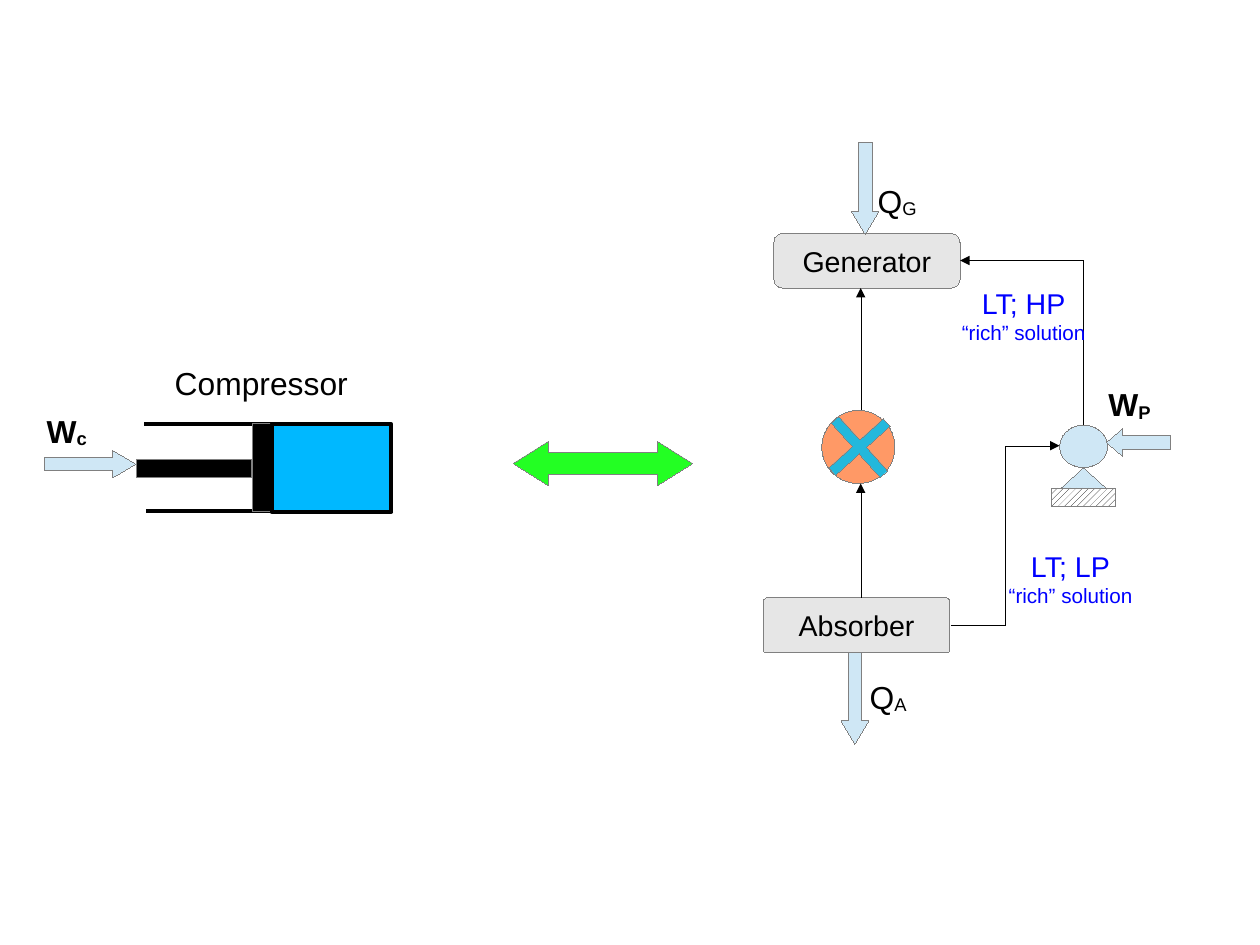
import dataclasses

import lxml.etree
import pptx
import pptx.dml.color
import pptx.enum.dml
import pptx.enum.shapes
import pptx.enum.text
import pptx.oxml.ns
import pptx.util

PX = 9144  # EMU per px, 100 px to the inch
PRESET = pptx.enum.shapes.MSO_SHAPE
CONNECTOR = pptx.enum.shapes.MSO_CONNECTOR
ALIGN = pptx.enum.text.PP_ALIGN


@dataclasses.dataclass(frozen=True)
class Theme:
    font: str = "Arial"
    black: str = "000000"
    white: str = "FFFFFF"
    outline: str = "808080"
    energy: str = "CFE7F5"
    vessel: str = "E6E6E6"
    valve: str = "FF9966"
    valve_cross: str = "23B8DC"
    gas: str = "00B8FF"
    equivalence: str = "23FF23"
    solution: str = "0000FF"
    symbol_size: int = 20
    label_size: int = 18
    note_size: int = 13
    subscript: int = -8000
    hairline: float = 0.01
    wall: float = 2.83


def rgb(color):
    return pptx.dml.color.RGBColor.from_string(color)


class Diagram:
    def __init__(self, slide, theme):
        self.slide = slide
        self.theme = theme

    def set_line(self, item, color, width):
        item.line.color.rgb = rgb(color)
        item.line.width = pptx.util.Pt(width)

    def set_font(self, paragraph, size, color, bold=False):
        font = paragraph.font
        font.name = self.theme.font
        font.size = pptx.util.Pt(size)
        font.bold = bold
        font.color.rgb = rgb(color)

    def shape(self, preset, box, fill, adjustments=(), rotation=0, line=None, width=None):
        shape = self.slide.shapes.add_shape(preset, *(value * PX for value in box))
        shape.shadow.inherit = False
        shape.rotation = rotation
        for index, value in enumerate(adjustments):
            shape.adjustments[index] = value
        shape.fill.solid()
        shape.fill.fore_color.rgb = rgb(fill)
        self.set_line(shape, line or self.theme.outline, width or self.theme.hairline)
        return shape

    def vessel(self, name, box, corner):
        shape = self.shape(PRESET.ROUNDED_RECTANGLE, box, self.theme.vessel, [corner])
        frame = shape.text_frame
        frame.word_wrap = False
        frame.vertical_anchor = pptx.enum.text.MSO_ANCHOR.MIDDLE
        paragraph = frame.paragraphs[0]
        paragraph.text = name
        paragraph.alignment = ALIGN.CENTER
        self.set_font(paragraph, self.theme.label_size, self.theme.black)

    def hatched_base(self, box):
        shape = self.shape(PRESET.RECTANGLE, box, self.theme.white)
        shape.fill.patterned()
        shape.fill.pattern = pptx.enum.dml.MSO_PATTERN.WIDE_UPWARD_DIAGONAL
        shape.fill.fore_color.rgb = rgb(self.theme.black)
        shape.fill.back_color.rgb = rgb(self.theme.white)

    def text_frame(self, box, wrap=True):
        frame = self.slide.shapes.add_textbox(*(value * PX for value in box)).text_frame
        frame.word_wrap = wrap
        frame.auto_size = pptx.enum.text.MSO_AUTO_SIZE.SHAPE_TO_FIT_TEXT
        return frame

    def symbol(self, box, text, subscript="", bold=False):
        paragraph = self.text_frame(box).paragraphs[0]
        paragraph.add_run().text = text
        if subscript:
            run = paragraph.add_run()
            run.text = subscript
            run.font._element.set("baseline", str(self.theme.subscript))
        self.set_font(paragraph, self.theme.symbol_size, self.theme.black, bold)

    def stream_label(self, box, state, note):
        frame = self.text_frame(box, wrap=False)
        frame.text = f"{state}\n{note}"
        sizes = (self.theme.label_size, self.theme.note_size)
        for paragraph, size in zip(frame.paragraphs, sizes):
            paragraph.alignment = ALIGN.CENTER
            self.set_font(paragraph, size, self.theme.solution)

    def connector(self, start, end, kind=CONNECTOR.STRAIGHT, width=None, arrow=True):
        points = (value * PX for value in (*start, *end))
        connector = self.slide.shapes.add_connector(kind, *points)
        self.set_line(connector, self.theme.black, width or self.theme.hairline)
        qn = pptx.oxml.ns.qn
        if arrow:
            line = connector.line._get_or_add_ln()
            lxml.etree.SubElement(line, qn("a:tailEnd"), type="triangle")
        lxml.etree.SubElement(connector._element.spPr, qn("a:effectLst"))
        return connector

    def up_then_left(self, start, end):
        """Draw a one-bend arrow: a two-segment elbow turned by 270 degrees about its centre."""
        center_x, center_y = (start[0] + end[0]) // 2, (start[1] + end[1]) // 2
        half_x, half_y = (start[0] - end[0]) // 2, (start[1] - end[1]) // 2
        connector = self.connector((center_x - half_y, center_y + half_x),
                                   (center_x + half_y, center_y - half_x), CONNECTOR.ELBOW)
        properties = connector._element.spPr
        properties.find(pptx.oxml.ns.qn("a:xfrm")).set("rot", str(270 * 60000))
        properties.find(pptx.oxml.ns.qn("a:prstGeom")).set("prst", "bentConnector2")


def draw_absorption_side(diagram):
    theme = diagram.theme
    diagram.shape(PRESET.LEFT_ARROW, (968, 375, 56, 24), theme.energy, [0.5, 0.585])
    diagram.symbol((960, 332, 64, 51), "W", "P", bold=True)
    diagram.vessel("Generator", (677, 204, 163, 48), 0.167)
    diagram.vessel("Absorber", (668, 523, 163, 48), 0.06)

    diagram.shape(PRESET.OVAL, (719, 359, 64, 64), theme.valve)
    diagram.shape(PRESET.CROSS, (720, 359, 64, 64), theme.valve_cross, [0.432], rotation=48)
    for bottom, top in ((523, 423), (359, 252)):
        diagram.connector((753, bottom), (753, top))

    diagram.shape(PRESET.OVAL, (927, 372, 42, 37), theme.energy)
    diagram.shape(PRESET.ISOSCELES_TRIANGLE, (927, 409, 42, 19), theme.energy)
    diagram.connector((832, 547), (927, 390), CONNECTOR.ELBOW)
    diagram.up_then_left((948, 372), (840, 228))
    diagram.hatched_base((920, 427, 56, 16))

    diagram.stream_label((872, 475, 129, 59), "LT; LP", "“rich” solution")
    diagram.stream_label((831, 245, 129, 59), "LT; HP", "“rich” solution")
    diagram.symbol((751, 588, 66, 51), "Q", "A")
    diagram.symbol((758, 154, 67, 51), "Q", "G")
    for left, top in ((745, 125), (736, 571)):
        diagram.shape(PRESET.DOWN_ARROW, (left, top, 24, 80), theme.energy, [0.5, 0.838])


def draw_compressor_side(diagram):
    theme = diagram.theme
    for start, end in (((342, 371), (126, 371)), ((344, 447), (128, 447)),
                       ((342, 371), (342, 447))):
        diagram.connector(start, end, width=theme.wall, arrow=False)
    for piston_part in ((119, 402, 101, 16), (221, 371, 17, 77)):
        diagram.shape(PRESET.RECTANGLE, piston_part, theme.black)
    diagram.shape(PRESET.RECTANGLE, (238, 371, 104, 77), theme.gas,
                  line=theme.black, width=theme.wall)
    diagram.shape(PRESET.RIGHT_ARROW, (39, 394, 80, 24), theme.energy, [0.5, 0.849])
    diagram.symbol((31, 355, 71, 50), "W", "c", bold=True)
    diagram.symbol((143, 313, 172, 41), "Compressor")


def main():
    presentation = pptx.Presentation()
    presentation.slide_width = pptx.util.Cm(28)
    presentation.slide_height = pptx.util.Cm(21)
    slide = presentation.slides.add_slide(presentation.slide_layouts[6])
    diagram = Diagram(slide, Theme())
    draw_absorption_side(diagram)
    draw_compressor_side(diagram)
    diagram.shape(PRESET.LEFT_RIGHT_ARROW, (449, 386, 157, 39),
                  diagram.theme.equivalence, [0.5, 0.796])
    presentation.save("out.pptx")


if __name__ == "__main__":
    main()
